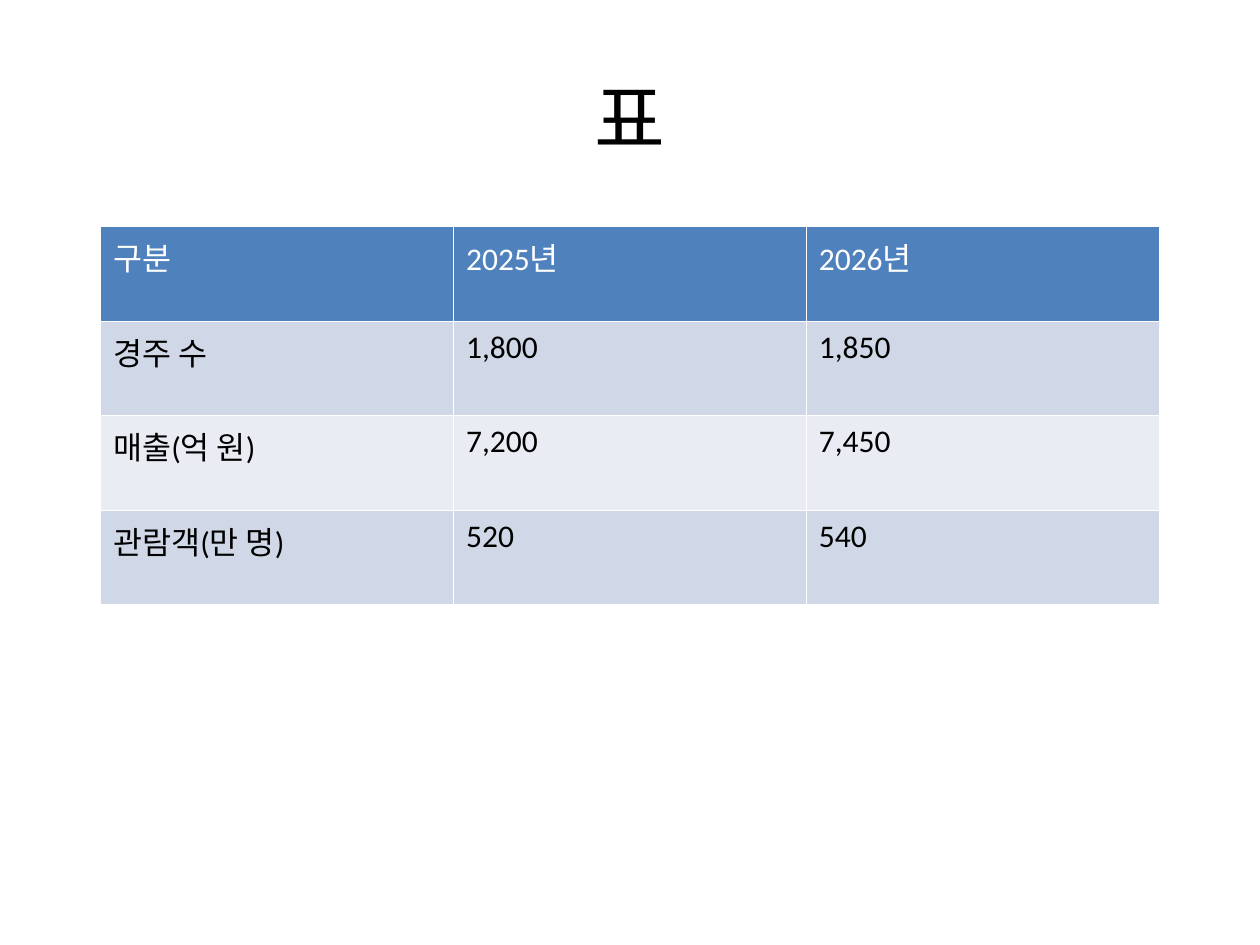
from dataclasses import dataclass

from lxml import etree
from pptx import Presentation
from pptx.dml.color import RGBColor
from pptx.enum import text
from pptx.oxml.ns import qn
from pptx.util import Pt

FONT = "Calibri"
WHITE, BLACK = "FFFFFF", "000000"
BLUE, BAND_DARK, BAND_LIGHT = "4F81BD", "D0D8E7", "E9ECF3"
BORDER_WIDTH = 0.45


@dataclass(frozen=True)
class Row:
    cells: tuple[str, ...]
    fill: str
    color: str = BLACK


ROWS = (
    Row(("구분", "2025년", "2026년"), BLUE, WHITE),
    Row(("경주 수", "1,800", "1,850"), BAND_DARK),
    Row(("매출(억 원)", "7,200", "7,450"), BAND_LIGHT),
    Row(("관람객(만 명)", "520", "540"), BAND_DARK),
)


def rgb(value: str) -> RGBColor:
    return RGBColor.from_string(value)


def write(tf, content: str, *, size: float, color: str,
          align=text.PP_ALIGN.LEFT, line_spacing: float = 1.0) -> None:
    p = tf.paragraphs[0]
    p.alignment = align
    p.line_spacing = line_spacing
    p.space_before = Pt(0)
    r = p.add_run()
    r.text = content
    r.font.name = FONT
    r.font.size = Pt(size)
    r.font.bold = False
    r.font.color.rgb = rgb(color)


def set_borders(cell, color: str, width: float) -> None:
    tc_pr = cell._tc.get_or_add_tcPr()
    for i, side in enumerate(("lnL", "lnR", "lnT", "lnB")):
        ln = etree.Element(qn(f"a:{side}"), w=str(Pt(width)))
        fill = etree.SubElement(ln, qn("a:solidFill"))
        etree.SubElement(fill, qn("a:srgbClr"), val=color)
        tc_pr.insert(i, ln)


def add_title(slide, content: str) -> None:
    sp = slide.shapes.title
    sp.left, sp.top, sp.width, sp.height = Pt(36), Pt(21.6), Pt(648), Pt(90)
    sp.text_frame.vertical_anchor = text.MSO_ANCHOR.MIDDLE
    write(sp.text_frame, content, size=44, color=BLACK,
          align=text.PP_ALIGN.CENTER)


def add_data_table(slide, rows: tuple[Row, ...]) -> None:
    frame = slide.shapes.add_table(len(rows), len(rows[0].cells),
                                   Pt(57.6), Pt(129.6), Pt(604.8), Pt(216))
    for table_row, row in zip(frame.table.rows, rows):
        for cell, content in zip(table_row.cells, row.cells):
            cell.fill.solid()
            cell.fill.fore_color.rgb = rgb(row.fill)
            set_borders(cell, WHITE, BORDER_WIDTH)
            write(cell.text_frame, content, size=18, color=row.color,
                  line_spacing=1.02)


def main() -> None:
    prs = Presentation()
    prs.slide_width, prs.slide_height = Pt(720), Pt(540)
    slide = prs.slides.add_slide(prs.slide_layouts.get_by_name("Title Only"))
    add_title(slide, "표")
    add_data_table(slide, ROWS)
    prs.save("out.pptx")


if __name__ == "__main__":
    main()
